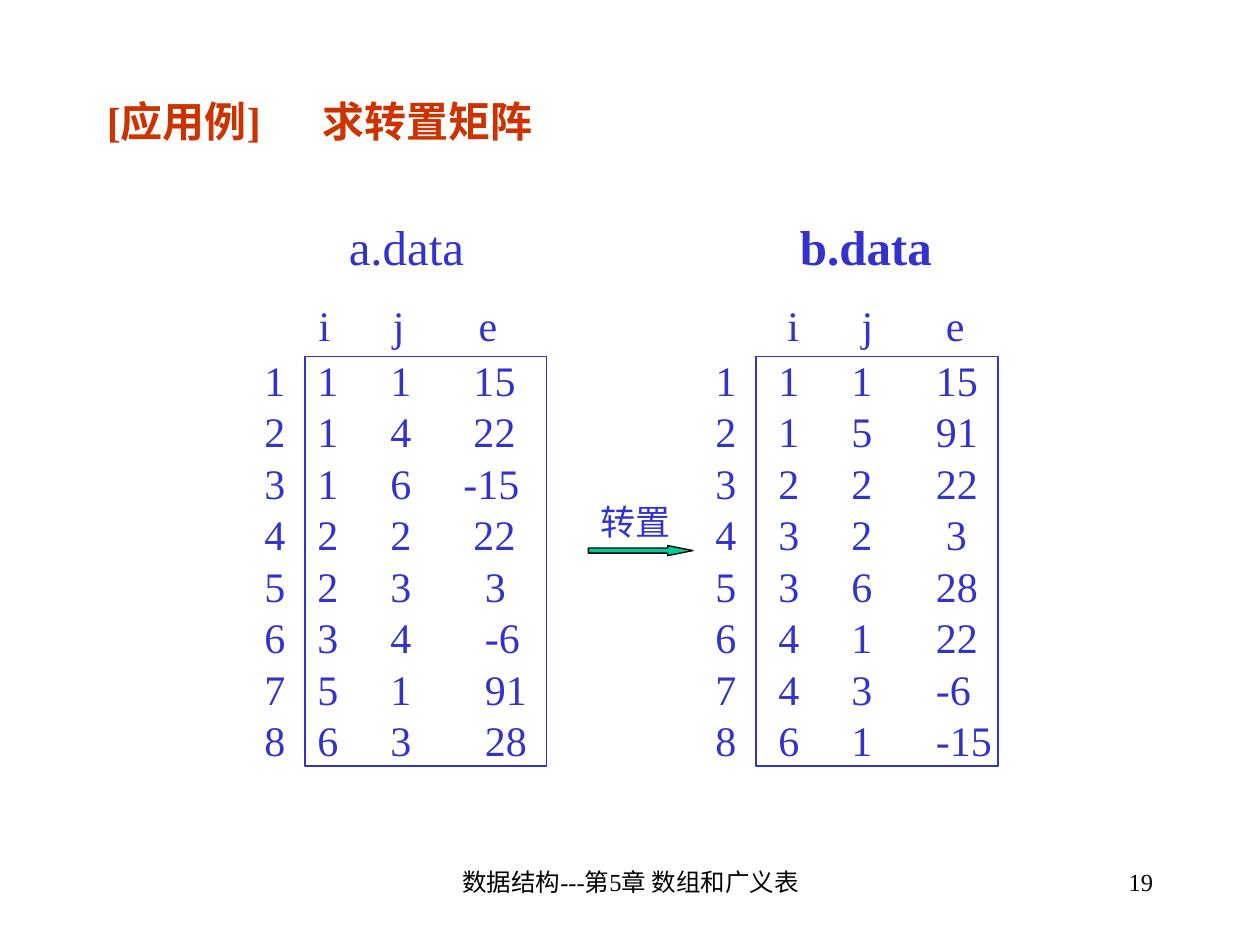
from pptx import Presentation
from pptx import util as u
from pptx.dml.color import RGBColor
from pptx.enum import shapes, text
from pptx.oxml.ns import qn
from lxml import etree

BLUE, RED, BLACK, GREEN = "3333CC", "CC3300", "000000", "00CC99"
HEADER = ["", "i", "j", "e"]

# Triples of each matrix; e_stops holds the indent of the e value in each row
MATRICES = [
    dict(name="a.data", bold=False, left=2, name_left=2.67, name_width=1.42,
         header_stops=(0.43, 1.02, 1.7), stops=(0.42, 1.0),
         triples=[(1, 1, 15), (1, 4, 22), (1, 6, -15), (2, 2, 22),
                  (2, 3, 3), (3, 4, -6), (5, 1, 91), (6, 3, 28)],
         e_stops=[1.66, 1.66, 1.58, 1.66, 1.75, 1.75, 1.75, 1.75]),
    dict(name="b.data", bold=True, left=5.58, name_left=6.25, name_width=1.67,
         header_stops=(0.57, 1.16, 1.83), stops=(0.5, 1.08),
         triples=[(1, 1, 15), (1, 5, 91), (2, 2, 22), (3, 2, 3),
                  (3, 6, 28), (4, 1, 22), (4, 3, -6), (6, 1, -15)],
         e_stops=[1.75, 1.75, 1.75, 1.83, 1.75, 1.75, 1.75, 1.75]),
]

prs = Presentation()
prs.slide_width, prs.slide_height = u.Inches(10), u.Inches(7.5)
slide = prs.slides.add_slide(prs.slide_layouts[6])


def color(value):
    return RGBColor.from_string(value)


def add_tabs(paragraph, stops):
    tab_list = etree.SubElement(paragraph._p.get_or_add_pPr(), qn("a:tabLst"))
    for stop in stops:
        etree.SubElement(tab_list, qn("a:tab"), pos=str(u.Inches(stop)), algn="l")


def add_text(lines, box, size=24, fill=BLUE, bold=False, tabs=(), line_spacing=None,
             space_before=0, align=text.PP_ALIGN.LEFT, anchor=text.MSO_ANCHOR.TOP):
    """Lines after the first take line_spacing and space_before; tabs has stops per line."""
    frame = slide.shapes.add_textbox(*map(u.Inches, box)).text_frame
    frame.word_wrap = True
    frame.vertical_anchor = anchor
    for n, line in enumerate(lines):
        paragraph = frame.add_paragraph() if n else frame.paragraphs[0]
        paragraph.alignment = align
        if n:
            paragraph.line_spacing = line_spacing
            paragraph.space_before = u.Pt(space_before)
        if tabs:
            add_tabs(paragraph, tabs[n])
        run = paragraph.add_run()
        run.text = line
        run.font.name, run.font.size, run.font.bold = "Times New Roman", u.Pt(size), bold
        run.font.color.rgb = color(fill)


def add_outline(kind, box, line, fill=None):
    shape = slide.shapes.add_shape(kind, *map(u.Inches, box))
    shape.shadow.inherit = False
    if fill:
        shape.fill.solid()
        shape.fill.fore_color.rgb = color(fill)
    else:
        shape.fill.background()
    shape.line.color.rgb = color(line)
    shape.line.width = u.Pt(0.75)
    return shape


# Footer and title
add_text(["数据结构---第5章 数组和广义表"], (3.42, 6.83, 3.17, 0.5), size=14, fill=BLACK,
         align=text.PP_ALIGN.CENTER)
add_text(["19"], (7.17, 6.83, 2.08, 0.5), size=14, fill=BLACK, align=text.PP_ALIGN.RIGHT)
add_text(["[应用例]\t求转置矩阵"], (0.75, 0.67, 8.5, 0.58), fill=RED, bold=True,
         tabs=[(1.71,)], anchor=text.MSO_ANCHOR.MIDDLE)

# Both triple lists with their names and frames
for matrix in MATRICES:
    rows = [HEADER] + [(n, *triple) for n, triple in enumerate(matrix["triples"], 1)]
    stops = [matrix["header_stops"]] + [(*matrix["stops"], e) for e in matrix["e_stops"]]
    add_text(["\t".join(map(str, row)) for row in rows], (matrix["left"], 2.33, 2.5, 3.77),
             tabs=stops, line_spacing=0.5, space_before=15)
    add_outline(shapes.MSO_SHAPE.RECTANGLE, (matrix["left"] + 0.42, 2.83, 1.92, 3.25), BLUE)
    add_text([matrix["name"]], (matrix["name_left"], 1.67, matrix["name_width"], 0.57),
             size=28, bold=matrix["bold"])

# Transposition arrow
arrow = add_outline(shapes.MSO_SHAPE.RIGHT_ARROW, (4.67, 4.33, 0.83, 0.08), BLACK, GREEN)
arrow.adjustments[0], arrow.adjustments[1] = 0.5, 2.51
add_text(["转置"], (4.67, 3.92, 1.5, 0.44), size=20)

prs.save("out.pptx")
